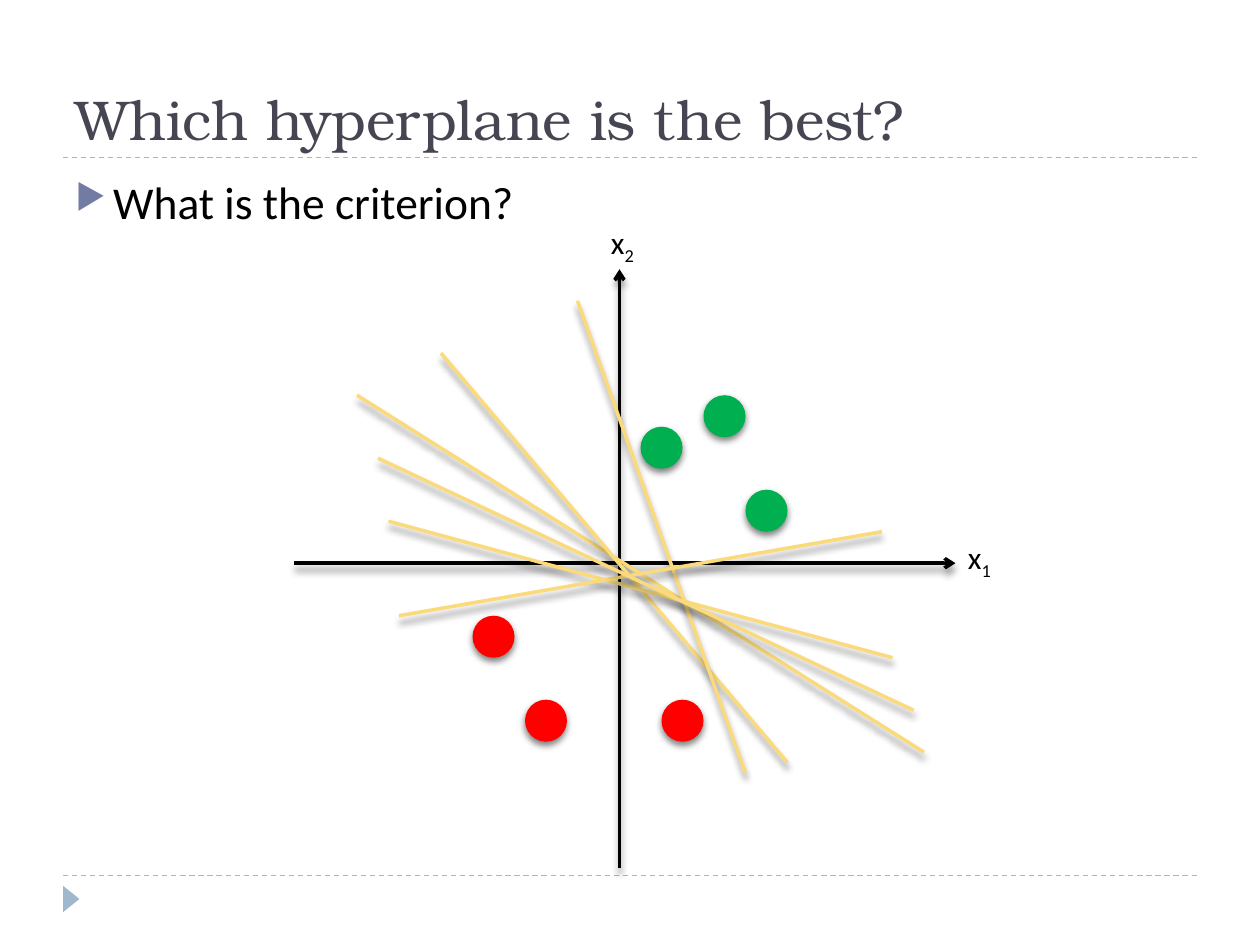
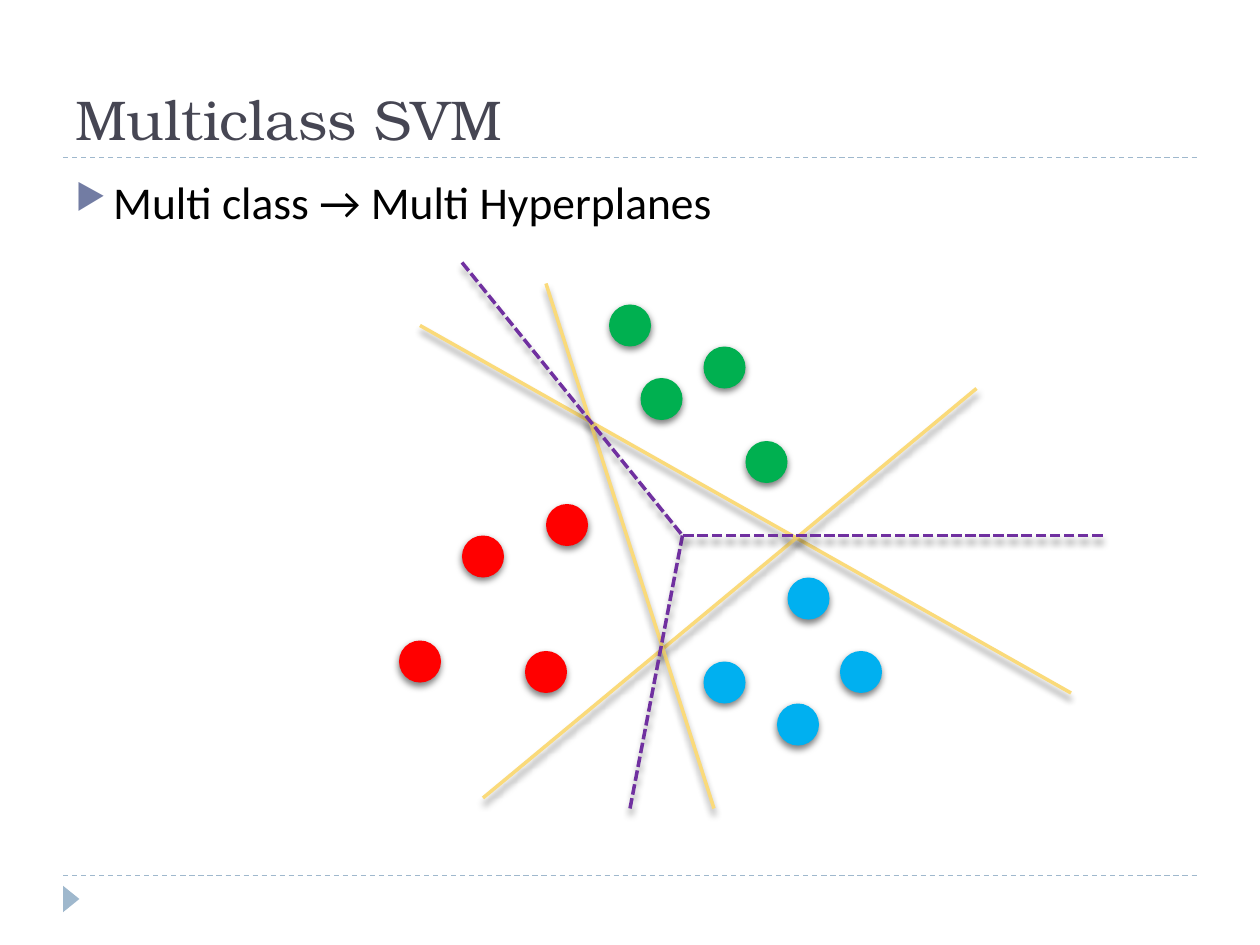
import lxml.etree
import pptx
import pptx.dml.color
import pptx.enum.dml
import pptx.enum.shapes
import pptx.enum.text
import pptx.oxml
import pptx.oxml.ns
import pptx.util

DASH = pptx.enum.dml.MSO_LINE
SHAPE = pptx.enum.shapes.MSO_SHAPE
ANCHOR = pptx.enum.text.MSO_ANCHOR
qn = pptx.oxml.ns.qn

CELL = pptx.util.Inches(1) // 12  # the slide is a grid of 120 by 90 cells
COLUMNS, ROWS = 120, 90
LEFT, RIGHT = 6, 114
TITLE_RULE, FOOTER_RULE = 15, 83.4
DOT = 4

GREEN, RED, BLUE, PALE = "00B050", "FF0000", "00B0F0", "9FB8CD"
TITLE_FONT = {"name": "TeX Gyre Bonum", "size": pptx.util.Pt(32)}
BODY_FONT = {"name": "Calibri", "size": pptx.util.Pt(26)}
LABEL_FONT = {"name": "Calibri", "size": pptx.util.Pt(18)}

# colour, width in points, dash, arrowhead, shadow as (opacity %, distance in points)
LINE_STYLES = {
    "rule": (PALE, 0.75, DASH.DASH, False, None),
    "axis": ("000000", 2, None, True, (40, 3.4)),
    "plane": ("FADA7A", 2, None, False, (40, 3.4)),
    "boundary": ("7030A0", 2, DASH.SQUARE_DOT, False, (40, 3.4)),
}
CENTRE = (65, 51)

# Places are (column, row); "shift" moves the whole diagram by rows.
slides = [
    {
        "title": "Which hyperplane is the best?",
        "body": "What is the criterion?",
        "shift": -0.36,
        "dots": {
            GREEN: [(67, 38), (71, 47), (61, 41)],
            RED: [(45, 59), (50, 67), (63, 67)],
        },
        "lines": {
            "axis": [((59, 83), (59, 26)), ((28, 54), (91, 54))],
            "plane": [
                ((34, 38), (88, 72)), ((42, 34), (75, 73)), ((55, 29), (71, 74)),
                ((37, 50), (85, 63)), ((38, 59), (84, 51)), ((36, 44), (87, 68)),
            ],
        },
        "labels": [("1", (91, 51)), ("2", (57, 21))],
    },
    {
        "title": "Multiclass SVM",
        "body": "Multi class → Multi Hyperplanes",
        "shift": 0,
        "dots": {
            GREEN: [(67, 33), (71, 42), (61, 36), (58, 29)],
            RED: [(44, 51), (50, 62), (38, 61), (52, 48)],
            BLUE: [(75, 55), (80, 62), (67, 63), (74, 67)],
        },
        "lines": {
            "plane": [((40, 31), (102, 66)), ((46, 76), (93, 37)), ((52, 27), (68, 77))],
            "boundary": [(end, CENTRE) for end in [(44, 25), (60, 77), (105, 51)]],
        },
        "labels": [],
    },
]


def rgb(hex_text):
    return pptx.dml.color.RGBColor.from_string(hex_text)


def set_shadow(shape, shadow):
    """Give the shape a downward shadow, or none at all."""
    properties = shape._element.spPr
    effects = lxml.etree.SubElement(properties, qn("a:effectLst"))
    if shadow:
        opacity, distance = shadow
        outer = lxml.etree.SubElement(
            effects, qn("a:outerShdw"), blurRad=str(pptx.util.Pt(4)),
            dist=str(pptx.util.Pt(distance)), dir="5400000", rotWithShape="0")
        black = lxml.etree.SubElement(outer, qn("a:srgbClr"), val="000000")
        lxml.etree.SubElement(black, qn("a:alpha"), val=str(opacity * 1000))


deck = pptx.Presentation()
deck.slide_width, deck.slide_height = COLUMNS * CELL, ROWS * CELL

for content in slides:
    page = deck.slides.add_slide(deck.slide_layouts[6])
    shift = content["shift"]

    # Footer marker
    marker = page.shapes.add_shape(
        SHAPE.ISOSCELES_TRIANGLE, *[pptx.util.Inches(n) for n in (0.46, 7.07, 0.21, 0.13)])
    marker.rotation = 90
    marker.fill.solid()
    marker.fill.fore_color.rgb = rgb(PALE)
    marker.line.fill.background()
    set_shadow(marker, None)

    # Title, body and axis labels: text, subscript, place and size, font, colour, anchor, wrap
    texts = [
        (content["title"], "", (LEFT, 2, 108, 13), TITLE_FONT, "464653", ANCHOR.BOTTOM, True),
        (content["body"], "", (LEFT, 16, 108, 64.8), BODY_FONT, "000000", ANCHOR.TOP, True),
    ]
    for index, (column, row) in content["labels"]:
        texts.append(("x", index, (column, row + shift, 4.92, 4.8), LABEL_FONT,
                      "000000", ANCHOR.TOP, False))

    for text, subscript, place, font, color, anchor, wrap in texts:
        box = page.shapes.add_textbox(*[round(n * CELL) for n in place])
        box.text_frame.word_wrap = wrap
        box.text_frame.vertical_anchor = anchor
        para = box.text_frame.paragraphs[0]
        for part in filter(None, (text, subscript)):
            span = para.add_run()
            span.text = part
            for name, value in font.items():
                setattr(span.font, name, value)
            span.font.color.rgb = rgb(color)
        if subscript:
            span._r.get_or_add_rPr().set("baseline", "-25000")
        if font is BODY_FONT:
            para.space_before = pptx.util.Pt(6)
            layout = para._p.get_or_add_pPr()
            indent = pptx.util.Inches(0.3)
            layout.set("marL", str(indent))
            layout.set("indent", str(-indent))
            bullet_color = lxml.etree.SubElement(layout, qn("a:buClr"))
            lxml.etree.SubElement(bullet_color, qn("a:srgbClr"), val="727CA3")
            lxml.etree.SubElement(layout, qn("a:buSzPct"), val="76000")
            lxml.etree.SubElement(layout, qn("a:buChar"), char="▶")

    # Data points
    for color, places in content["dots"].items():
        for column, row in places:
            dot = page.shapes.add_shape(
                SHAPE.OVAL, column * CELL, round((row + shift) * CELL), DOT * CELL, DOT * CELL)
            dot.fill.solid()
            dot.fill.fore_color.rgb = rgb(color)
            dot.line.fill.background()
            set_shadow(dot, (50, 2))

    # Rules, axes, hyperplanes and class boundaries
    lines = [("rule", (LEFT, row), (RIGHT, row), 0) for row in (TITLE_RULE, FOOTER_RULE)]
    for style, pairs in content["lines"].items():
        lines += [(style, start, end, shift) for start, end in pairs]

    for style, start, end, offset in lines:
        color, width, dash, arrow, shadow = LINE_STYLES[style]
        line = page.shapes.add_connector(
            pptx.enum.shapes.MSO_CONNECTOR.STRAIGHT,
            start[0] * CELL, round((start[1] + offset) * CELL),
            end[0] * CELL, round((end[1] + offset) * CELL))
        line.line.color.rgb = rgb(color)
        line.line.width = pptx.util.Pt(width)
        if dash:
            line.line.dash_style = dash
        if arrow:
            lxml.etree.SubElement(line.line._get_or_add_ln(), qn("a:tailEnd"), type="arrow")
        set_shadow(line, shadow)

deck.save("out.pptx")
